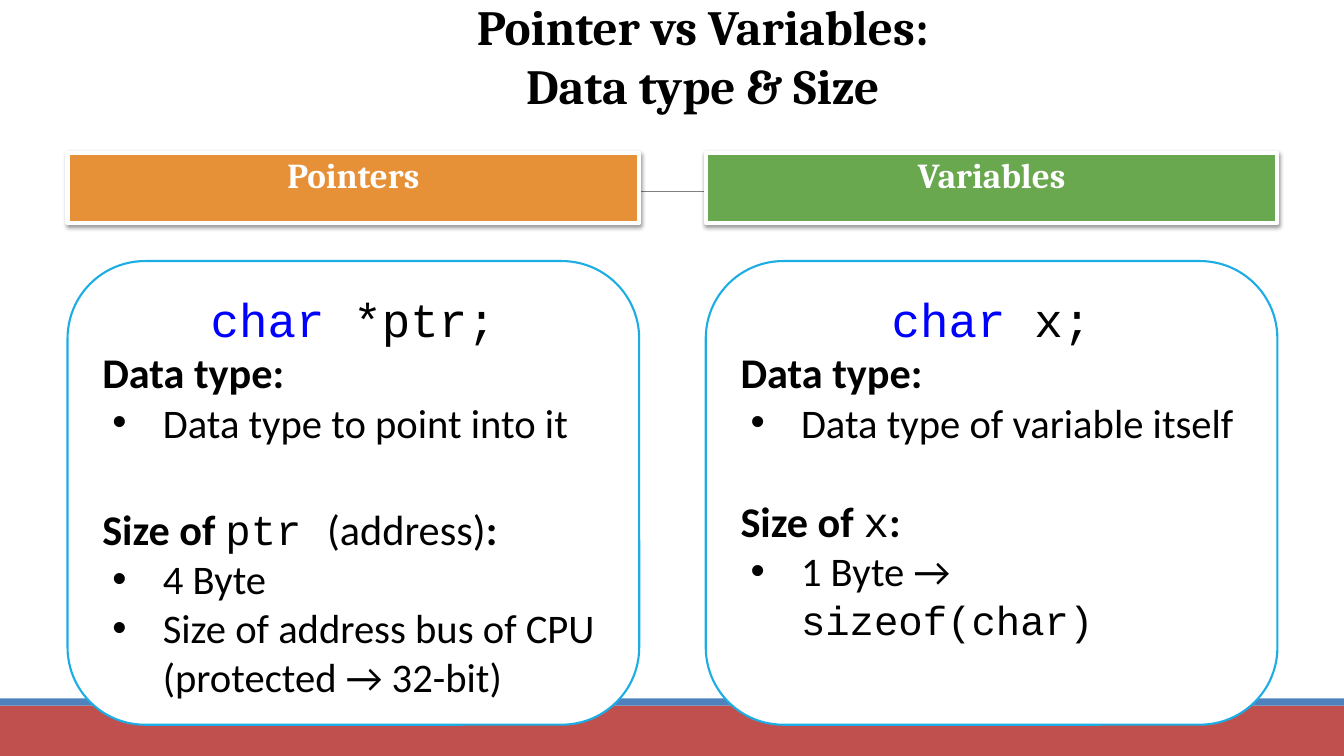
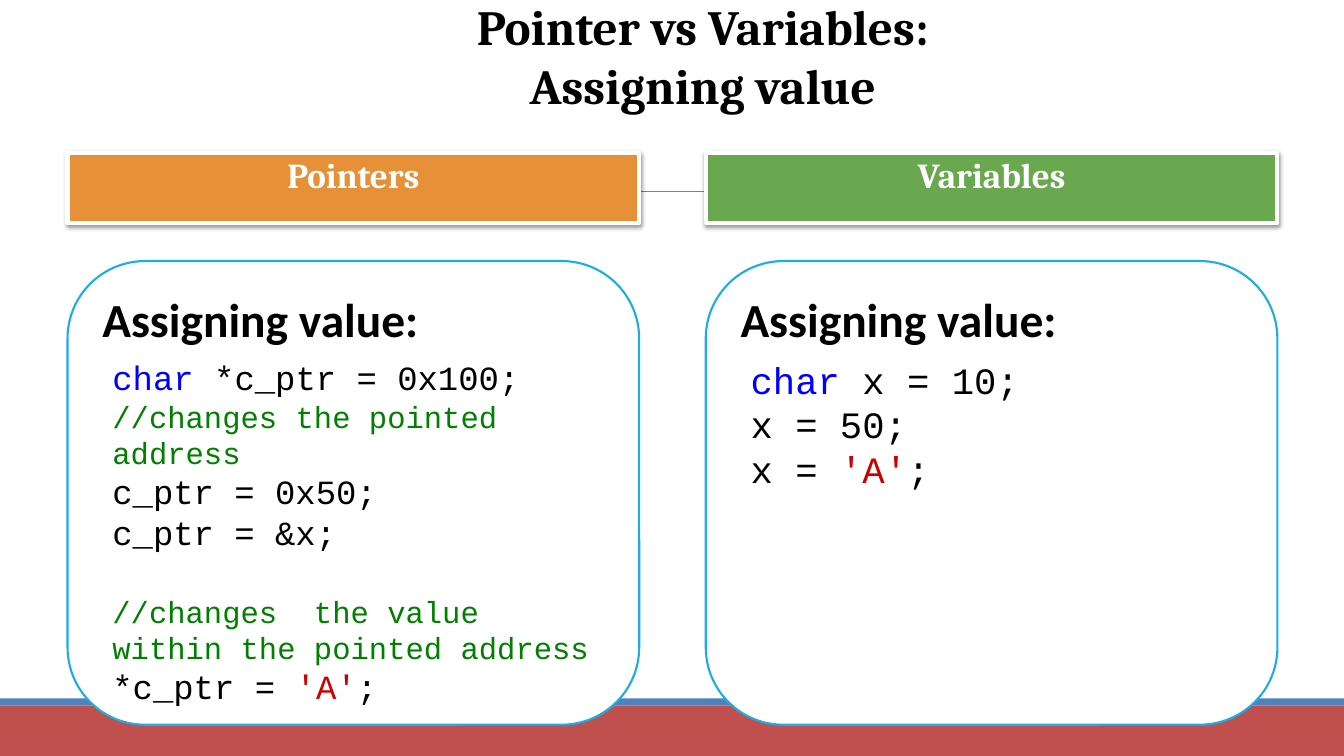
from typing import NamedTuple

from lxml.etree import SubElement
from pptx import Presentation
from pptx.dml.color import RGBColor
from pptx.enum.shapes import MSO_CONNECTOR, MSO_SHAPE
from pptx.enum.text import MSO_ANCHOR, MSO_AUTO_SIZE, PP_ALIGN
from pptx.oxml import parse_xml
from pptx.oxml.ns import nsdecls, qn
from pptx.util import Inches, Pt

BLACK = RGBColor(0x00, 0x00, 0x00)
WHITE = RGBColor(0xFF, 0xFF, 0xFF)
RED_BAND = RGBColor(0xC0, 0x50, 0x4D)
BLUE_BAND = RGBColor(0x4F, 0x81, 0xBD)
GRAY = RGBColor(0x80, 0x80, 0x80)
ORANGE = RGBColor(0xE6, 0x91, 0x38)
GREEN = RGBColor(0x6A, 0xA8, 0x4F)
CARD_LINE = RGBColor(0x1C, 0xAD, 0xE4)
KEYWORD = RGBColor(0x00, 0x00, 0xFF)
COMMENT = RGBColor(0x00, 0x80, 0x00)
LITERAL = RGBColor(0xCC, 0x00, 0x00)

HEADING_FONT, BODY_FONT, CODE_FONT = "Cambria", "Calibri", "Courier New"
SLIDE_WIDTH, SLIDE_HEIGHT = 13.33, 7.5
COLUMN_LEFTS, COLUMN_WIDTH = (0.67, 7), 5.67
HEADER_TOP, HEADER_HEIGHT = 1.52, 0.69
CARD_TOP, CARD_HEIGHT = 2.59, 4.6
COLUMN_HEADERS = (("Pointers", ORANGE), ("Variables", GREEN))


class Span(NamedTuple):
    """A run of text with its format."""
    text: str
    size: float
    font: str = BODY_FONT
    color: RGBColor = BLACK
    bold: bool = False


class Line(NamedTuple):
    """A paragraph: its spans, indents in inches and spacing in points."""
    spans: list
    align: PP_ALIGN = PP_ALIGN.LEFT
    indent: float = 0
    bullet: bool = False
    before: float = 0
    after: float = 0
    spacing: float = 1


def label(text, size=30.2):
    """Return a bold body span."""
    return Span(text, size, bold=True)


def code(text, size, color=BLACK):
    """Return a span of source code."""
    return Span(text, size, CODE_FONT, color)


def bullet(*spans):
    """Return a bulleted line."""
    return Line(list(spans), indent=0.6, bullet=True)


def code_line(*spans, before=0):
    """Return an indented line of source code."""
    return Line(list(spans), indent=0.1, before=before)


def declaration(rest):
    """Return a centred char declaration."""
    return Line([code("char", 33.9, KEYWORD), code(rest, 33.9)], PP_ALIGN.CENTER)


def write_lines(frame, lines):
    """Write the lines into a text frame."""
    frame.word_wrap = True
    for index, line in enumerate(lines):
        para = frame.add_paragraph() if index else frame.paragraphs[0]
        para.alignment = line.align
        para.line_spacing = line.spacing
        para.space_before, para.space_after = Pt(line.before), Pt(line.after)
        props = para._p.get_or_add_pPr()
        props.set("marL", str(Inches(line.indent)))
        props.set("indent", str(Inches(-0.5 if line.bullet else 0)))
        if line.bullet:
            SubElement(props, qn("a:buFont"), typeface="Arial")
            SubElement(props, qn("a:buChar"), char="•")
        for part in line.spans:
            span = para.add_run()
            span.text = part.text
            span.font.size = Pt(part.size)
            span.font.name = part.font
            span.font.bold = part.bold
            span.font.color.rgb = part.color


def add_box(slide, kind, box, fill, line=None, width=0):
    """Add a filled preset shape, outlined when a line colour is given."""
    shape = slide.shapes.add_shape(kind, *map(Inches, box))
    shape.shadow.inherit = False
    shape.fill.solid()
    shape.fill.fore_color.rgb = fill
    if line is None:
        shape.line.fill.background()
    else:
        shape.line.color.rgb = line
        shape.line.width = Pt(width)
    shape.text_frame.vertical_anchor = MSO_ANCHOR.TOP
    return shape


def add_backdrop(slide):
    """Add the footer bands and the line that runs behind the headers."""
    for top, height, color in ((7, 0.5, RED_BAND), (6.93, 0.07, BLUE_BAND)):
        add_box(slide, MSO_SHAPE.RECTANGLE, (0, top, SLIDE_WIDTH, height), color)
    link = slide.shapes.add_connector(
        MSO_CONNECTOR.STRAIGHT, Inches(1.31), Inches(1.9), Inches(12.21), Inches(1.9))
    link.line.color.rgb = GRAY
    link.line.width = Pt(0.5)
    SubElement(link._element.spPr, qn("a:effectLst"))


def add_title(slide, box, texts):
    """Place the title placeholder in the box and write its lines."""
    title = slide.shapes.title
    title.left, title.top, title.width, title.height = map(Inches, box)
    frame = title.text_frame
    frame.margin_left = frame.margin_right = frame.margin_top = frame.margin_bottom = 0
    frame.vertical_anchor = MSO_ANCHOR.MIDDLE
    frame.auto_size = MSO_AUTO_SIZE.NONE
    write_lines(frame, [
        Line([Span(text, 35.1, HEADING_FONT, bold=True)], PP_ALIGN.CENTER, 0.6)
        for text in texts])


def add_header(slide, box, text, fill):
    """Add a column header with a soft shadow below it."""
    header = add_box(slide, MSO_SHAPE.RECTANGLE, box, fill, WHITE, 3)
    props = header._element.spPr
    props.remove(props.find(qn("a:effectLst")))
    props.append(parse_xml(
        f'<a:effectLst {nsdecls("a")}><a:outerShdw blurRad="{Pt(3.1)}" '
        f'dist="{Pt(1.6)}" dir="5400000" rotWithShape="0"><a:srgbClr val="000000">'
        '<a:alpha val="38000"/></a:srgbClr></a:outerShdw></a:effectLst>'))
    span = Span(text, 25, HEADING_FONT, WHITE, True)
    write_lines(header.text_frame, [
        Line([span], PP_ALIGN.CENTER, before=4, spacing=0.9)])


def add_card(slide, box, lines):
    """Add a rounded card with its text."""
    card = add_box(slide, MSO_SHAPE.ROUNDED_RECTANGLE, box, WHITE, CARD_LINE, 1.5)
    card.adjustments[0] = 0.167
    frame = card.text_frame
    frame.margin_left = frame.margin_right = Inches(0.12)
    frame.margin_top = frame.margin_bottom = Inches(0.06)
    write_lines(frame, lines)


def add_comparison(deck, topic, cards):
    """Add a slide that compares pointers with variables."""
    slide = deck.slides.add_slide(deck.slide_layouts[5])
    add_backdrop(slide)
    add_title(slide, (0.67, 0, 12, 1.1), ("Pointer vs Variables:", topic))
    for left, (text, fill), lines in zip(COLUMN_LEFTS, COLUMN_HEADERS, cards):
        add_header(slide, (left, HEADER_TOP, COLUMN_WIDTH, HEADER_HEIGHT), text, fill)
        add_card(slide, (left, CARD_TOP, COLUMN_WIDTH, CARD_HEIGHT), lines)


DATA_TYPE = Line([label("Data type:")])
ASSIGNING = Line([label("Assigning value:", 33.9)], after=7.3)

POINTER_SIZE = [
    declaration(" *ptr;"),
    DATA_TYPE,
    bullet(Span("Data type to point into it", 29)),
    Line([label("Size of "), code("ptr ", 30.2), Span("(address)", 30.2), label(":")],
         before=41),
    bullet(Span("4 Byte", 29)),
    bullet(Span("Size of address bus of CPU (protected → 32-bit)", 29)),
]
VARIABLE_SIZE = [
    declaration(" x;"),
    DATA_TYPE,
    bullet(Span("Data type of variable itself", 29)),
    Line([label("Size of "), code("x", 30.2), label(":")], before=35),
    bullet(Span("1 Byte → ", 29), code("sizeof(char)", 29)),
]
POINTER_VALUE = [
    ASSIGNING,
    code_line(code("char", 24.2, KEYWORD), code(" *c_ptr = 0x100;", 24.2)),
    code_line(code("//changes the pointed address", 21.8, COMMENT)),
    code_line(code("c_ptr = 0x50;", 24.2)),
    code_line(code("c_ptr = &x;", 24.2)),
    code_line(code("//changes  the value within the pointed address", 21.8, COMMENT),
              before=29),
    code_line(code("*c_ptr = ", 24.2), code("'A'", 24.2, LITERAL), code(";", 24.2)),
]
VARIABLE_VALUE = [
    ASSIGNING,
    code_line(code("char", 26.6, KEYWORD), code(" x = 10;", 26.6)),
    code_line(code("x = 50;", 26.6)),
    code_line(code("x = ", 26.6), code("'A'", 26.6, LITERAL), code(";", 26.6)),
]


def main():
    """Build and save the deck."""
    deck = Presentation()
    deck.slide_width, deck.slide_height = Inches(SLIDE_WIDTH), Inches(SLIDE_HEIGHT)
    add_comparison(deck, "Data type & Size", (POINTER_SIZE, VARIABLE_SIZE))
    add_comparison(deck, "Assigning value", (POINTER_VALUE, VARIABLE_VALUE))
    deck.save("out.pptx")


if __name__ == "__main__":
    main()
